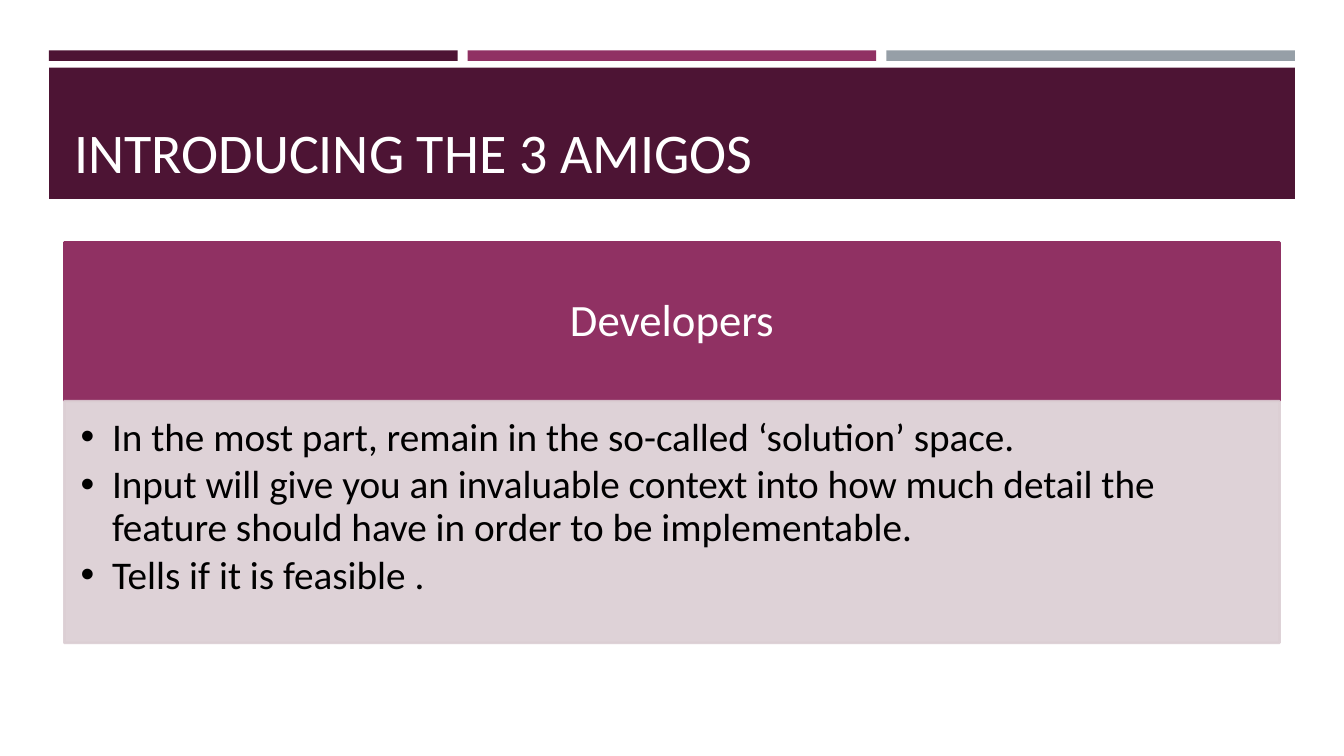
from dataclasses import dataclass, field
from typing import Any

from lxml import etree
from pptx import Presentation
from pptx import util as u
from pptx.dml import color
from pptx.enum import shapes, text
from pptx.oxml import ns


@dataclass(frozen=True)
class Theme:
    font: str = "Calibri"
    plum: str = "4D1434"
    magenta: str = "903163"
    grey: str = "969FA7"
    tint: str = "DBCED3"
    white: str = "FFFFFF"
    black: str = "000000"
    title_size: float = 40
    heading_size: float = 32
    body_size: float = 28
    outline: float = 1.75


@dataclass(frozen=True)
class Box:
    left: float
    top: float
    width: float
    height: float
    fill: str
    outlined: bool = False
    opacity: int = 100


@dataclass(frozen=True)
class TextStyle:
    size: float
    color: str
    anchor: Any
    insets: tuple[float, float, float, float]  # left, top, right, bottom
    paragraph: dict[str, Any] = field(default_factory=dict)
    hanging: float = 0  # bullet indent; 0 means no bullet


THEME = Theme()


def set_attributes(target: Any, values: dict[str, Any]) -> None:
    for name, value in values.items():
        setattr(target, name, value)


def place(shape: Any, left: float, top: float, width: float, height: float) -> None:
    set_attributes(shape, {"left": u.Pt(left), "top": u.Pt(top),
                           "width": u.Pt(width), "height": u.Pt(height)})


def draw_box(slide: Any, box: Box) -> Any:
    shape = slide.shapes.add_shape(shapes.MSO_SHAPE.RECTANGLE, 0, 0, 0, 0)
    place(shape, box.left, box.top, box.width, box.height)
    shape.shadow.inherit = False
    shape.fill.solid()
    shape.fill.fore_color.rgb = color.RGBColor.from_string(box.fill)
    if box.outlined:
        shape.line.color.rgb = color.RGBColor.from_string(box.fill)
        shape.line.width = u.Pt(THEME.outline)
    else:
        shape.line.fill.background()
    if box.opacity < 100:
        for rgb in shape.element.spPr.iter(ns.qn("a:srgbClr")):
            etree.SubElement(rgb, ns.qn("a:alpha"), val=str(box.opacity * 1000))
    return shape


def add_bullet(paragraph: Any, hanging: float) -> None:
    properties = paragraph._p.get_or_add_pPr()
    properties.set("marL", str(u.Pt(hanging)))
    properties.set("indent", str(-u.Pt(hanging)))
    etree.SubElement(properties, ns.qn("a:buFont"), typeface="Arial")
    etree.SubElement(properties, ns.qn("a:buChar"), char="•")


def write(shape: Any, lines: list[str], style: TextStyle) -> None:
    frame = shape.text_frame
    sides = ("margin_left", "margin_top", "margin_right", "margin_bottom")
    set_attributes(frame, {"word_wrap": True, "auto_size": text.MSO_AUTO_SIZE.NONE,
                           "vertical_anchor": style.anchor}
                   | {side: u.Pt(inset) for side, inset in zip(sides, style.insets)})
    for index, line in enumerate(lines):
        paragraph = frame.add_paragraph() if index else frame.paragraphs[0]
        set_attributes(paragraph, style.paragraph)
        if style.hanging:
            add_bullet(paragraph, style.hanging)
        run = paragraph.add_run()
        run.text = line
        set_attributes(run.font, {"name": THEME.font, "size": u.Pt(style.size)})
        run.font.color.rgb = color.RGBColor.from_string(style.color)


presentation = Presentation()
set_attributes(presentation, {"slide_width": u.Pt(960), "slide_height": u.Pt(540)})
slide = presentation.slides.add_slide(presentation.slide_layouts[5])

# Three accent bars span the same width as the title band
BAND_LEFT, BAND_WIDTH, BAR_GAP = 35, 890, 7.2
bar_colors = (THEME.plum, THEME.magenta, THEME.grey)
bar_width = (BAND_WIDTH - BAR_GAP * (len(bar_colors) - 1)) / len(bar_colors)
for index, bar_color in enumerate(bar_colors):
    draw_box(slide, Box(BAND_LEFT + index * (bar_width + BAR_GAP), 36,
                        bar_width, 7.5, bar_color))

# Title band, with the title placeholder moved in front of it
draw_box(slide, Box(BAND_LEFT, 48.3, BAND_WIDTH, 93.8, THEME.plum))
CARD_LEFT, CARD_WIDTH = 46, 868
title = slide.shapes.title
place(title, CARD_LEFT, 55.4, CARD_WIDTH, 80)
title.element.getparent().append(title.element)
write(title, ["INTRODUCING THE 3 AMIGOS"],
      TextStyle(THEME.title_size, THEME.white, text.MSO_ANCHOR.BOTTOM,
                (7.2, 3.6, 7.2, 3.6), {"alignment": text.PP_ALIGN.LEFT}))

# Role card: heading above its list
CARD_TOP, HEADING_HEIGHT, LIST_HEIGHT = 173.3, 113.2, 172.8
heading = draw_box(slide, Box(CARD_LEFT, CARD_TOP, CARD_WIDTH, HEADING_HEIGHT,
                              THEME.magenta, outlined=True))
write(heading, ["Developers"],
      TextStyle(THEME.heading_size, THEME.white, text.MSO_ANCHOR.MIDDLE,
                (18, 10, 18, 10),
                {"alignment": text.PP_ALIGN.CENTER, "line_spacing": 0.9}))

duties = draw_box(slide, Box(CARD_LEFT, CARD_TOP + HEADING_HEIGHT, CARD_WIDTH,
                             LIST_HEIGHT, THEME.tint, outlined=True, opacity=90))
write(duties, [
    "In the most part, remain in the so-called ‘solution’ space.",
    "Input will give you an invaluable context into how much detail the "
    "feature should have in order to be implementable.",
    "Tells if it is feasible .",
], TextStyle(THEME.body_size, THEME.black, text.MSO_ANCHOR.TOP,
             (11.5, 11.5, 16, 17),
             {"alignment": text.PP_ALIGN.LEFT, "level": 1, "line_spacing": 0.9,
              "space_after": u.Pt(4)}, hanging=22.5))

presentation.save("out.pptx")
